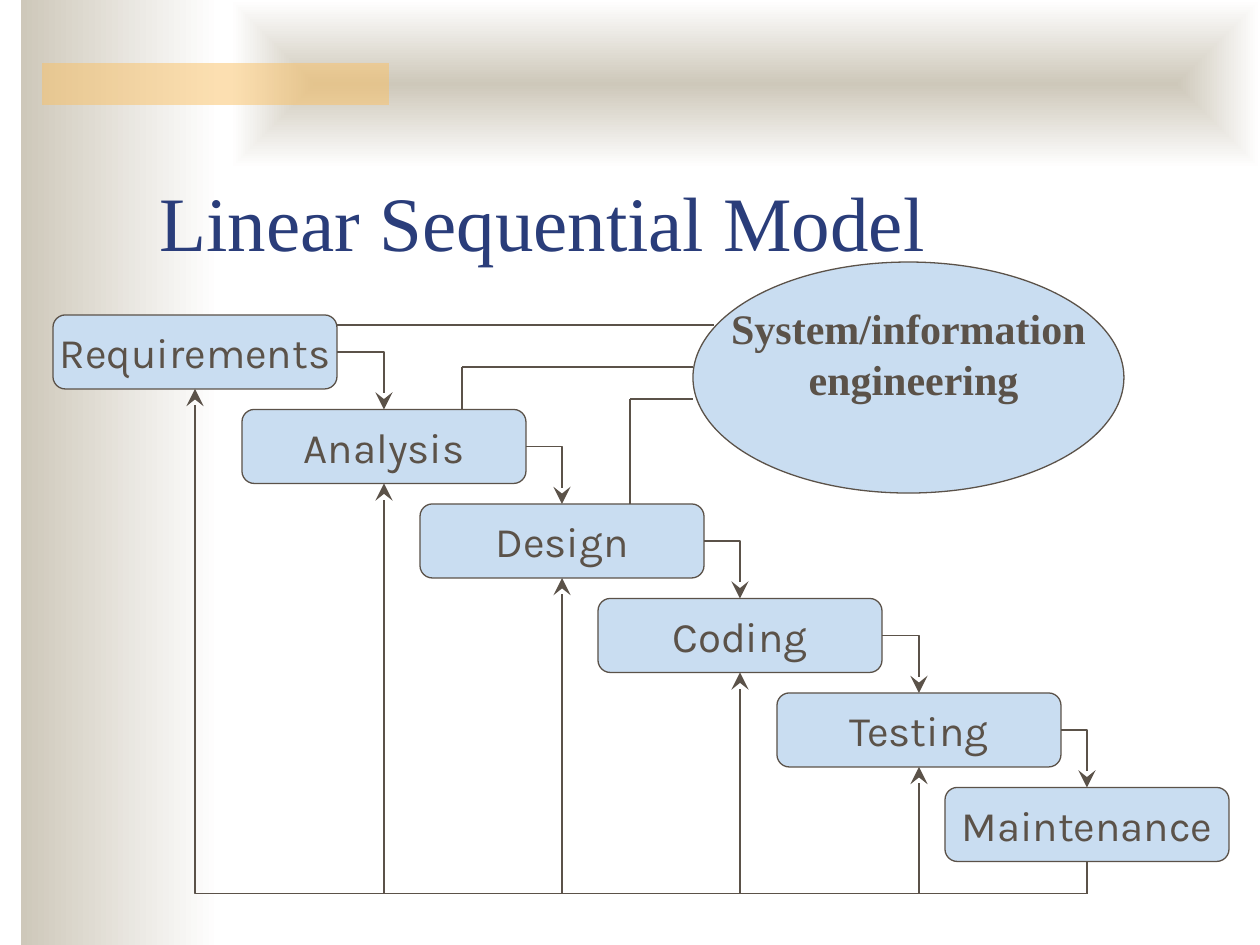
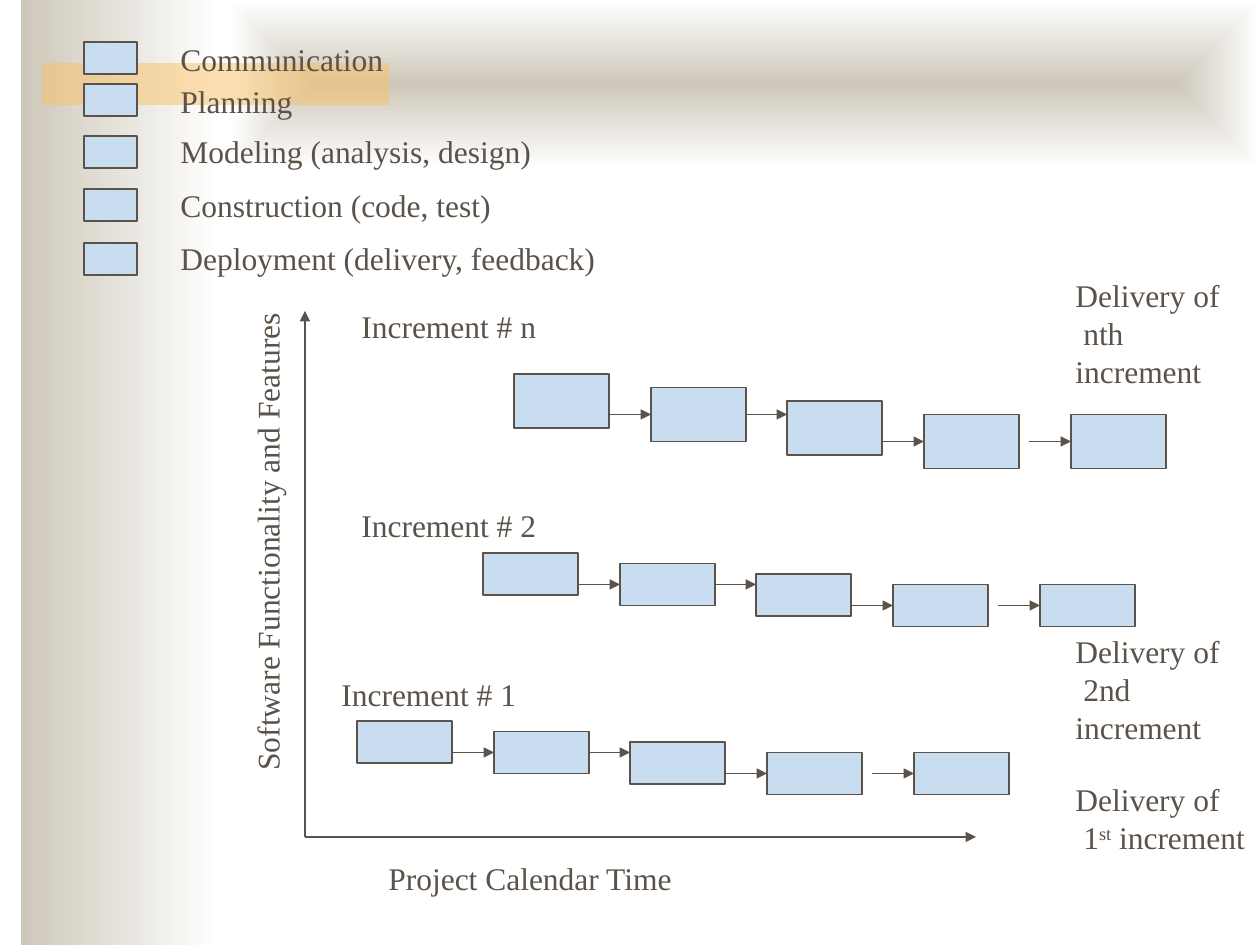
import pptx
import pptx.util
import pptx.dml.color
import pptx.oxml
import pptx.oxml.ns
import pptx.enum.shapes
import pptx.enum.text
import lxml.etree

# Shared look
PX = 914400 / 126
SLIDE_W, SLIDE_H = 1260, 945
TAN, WHITE, GOLD = "CEC8BA", "FFFFFF", "FAC164"
BLUE, BROWN, NAVY = "C9DDF1", "5B5249", "2A3D7A"
SERIF, SANS = "Times New Roman", "Karla"
SHAPE = pptx.enum.shapes.MSO_SHAPE
CONNECTOR = pptx.enum.shapes.MSO_CONNECTOR
ALIGN = pptx.enum.text.PP_ALIGN
ANCHOR = pptx.enum.text.MSO_ANCHOR
TOP, BOTTOM, RIGHT = 0, 2, 3  # connection sites of a box
HEAD_SIZE = {"stealth": "lg", "triangle": "med"}

# Content: linear sequential model
MODEL_TITLE = "Linear Sequential Model"
PHASES = [("Requirements", 53), ("Analysis", 242), ("Design", 420),
          ("Coding", 598), ("Testing", 777), ("Maintenance", 945)]
PHASE_TOP, PHASE_W, PHASE_H = 315, 284, 74
FEEDBACK_DROP = 32
ENGINEERING = ["System/information", " engineering"]
ENGINEERING_LINKS = [[(336, 325), (714, 325)],
                     [(462, 409), (462, 367), (693, 367)],
                     [(630, 504), (630, 399), (693, 399)]]

# Content: incremental model
LEGEND = [  # label, swatch top, label top
    ("Communication", 42, 34),
    ("Planning", 84, 76),
    ("Modeling (analysis, design)", 136, 126),
    ("Construction (code, test)", 189, 180),
    ("Deployment (delivery, feedback)", 243, 233),
]
LEGEND_W = 480
INCREMENTS = [  # label, label place, first box place, box height
    ("Increment # n", (349, 301), (514, 374), 54),
    ("Increment # 2", (349, 500), (483, 553), 42),
    ("Increment # 1", (329, 669), (357, 721), 42),
]
STEP_X = [0, 137, 273, 410, 557]
STEP_QUARTERS = [0, 1, 2, 3, 3]   # box drops, in quarters of box height
ARROW_QUARTERS = [3, 3, 5, 5]     # arrow drops, in the same unit
STEP_W, ARROW_W = 95, 42
DELIVERIES = [  # top, height, second line as (text, superscript) runs
    (270, 126, [(" nth increment", False)]),
    (626, 126, [(" 2nd increment", False)]),
    (774, 88, [(" 1", False), ("st", True), (" increment", False)]),
]
ORIGIN, AXIS_RIGHT, AXIS_TOP = (305, 837), 976, 311


def px(n):
    return pptx.util.Emu(round(n * PX))


def rgb(h):
    return pptx.dml.color.RGBColor.from_string(h)


def sub(parent, tag, **attrs):
    el = lxml.etree.SubElement(parent, pptx.oxml.ns.qn(tag))
    for name, value in attrs.items():
        el.set(name, str(value))
    return el


def add_run(p, text, size=18, font=SERIF, color=BROWN, bold=False, sup=False):
    r = p.add_run()
    r.text = text
    r.font.size = pptx.util.Pt(size)
    r.font.name = font
    r.font.bold = bold
    r.font.color.rgb = rgb(color)
    if sup:
        r.font._element.set("baseline", "30000")


def add_box(s, kind, x, y, w, h, fill=BLUE, line=BROWN):
    sp = s.shapes.add_shape(kind, px(x), px(y), px(w), px(h))
    sp.shadow.inherit = False
    sp.fill.solid()
    sp.fill.fore_color.rgb = rgb(fill)
    if line:
        sp.line.color.rgb = rgb(line)
        sp.line.width = pptx.util.Pt(0.75)
    else:
        sp.line.fill.background()
    return sp


def fill_centred(sp, lines, **style):
    tf = sp.text_frame
    tf.word_wrap = False
    tf.vertical_anchor = ANCHOR.MIDDLE
    for i, text in enumerate(lines):
        p = tf.add_paragraph() if i else tf.paragraphs[0]
        p.alignment = ALIGN.CENTER
        add_run(p, text, 24, **style)


def add_label(s, x, y, w, h, lines):
    sp = s.shapes.add_textbox(px(x), px(y), px(w), px(h))
    tf = sp.text_frame
    tf.word_wrap = True
    for i, runs in enumerate(lines):
        p = tf.add_paragraph() if i else tf.paragraphs[0]
        for text, sup in runs:
            add_run(p, text, sup=sup)
    return sp


def add_line(s, start=(0, 0), end=(0, 0), head=None, kind=CONNECTOR.STRAIGHT):
    cx = s.shapes.add_connector(kind, *map(px, (*start, *end)))
    cx.line.color.rgb = rgb(BROWN)
    cx.line.width = pptx.util.Pt(0.75)
    if head:
        size = HEAD_SIZE[head]
        sub(cx.line._get_or_add_ln(), "a:tailEnd", type=head, w=size, len=size)
    sub(cx._element.spPr, "a:effectLst")
    return cx


def add_elbow(s, box, site, next_box, next_site):
    cx = add_line(s, head="stealth", kind=CONNECTOR.ELBOW)
    cx.begin_connect(box, site)
    cx.end_connect(next_box, next_site)
    return cx


def add_feedback(s, box, target):
    """Route from under box, along a common base line, up to target."""
    cx = add_elbow(s, box, BOTTOM, target, BOTTOM)
    dx, dy = cx.begin_x - cx.end_x, cx.begin_y - cx.end_y
    mid_x, mid_y = cx.end_x + dx // 2, cx.end_y + dy // 2
    cx.left, cx.top = mid_x - dy // 2, mid_y - dx // 2
    cx.width, cx.height = dy, dx
    spPr = cx._element.spPr
    for name, value in (("rot", "16200000"), ("flipH", "0"), ("flipV", "1")):
        spPr.find(pptx.oxml.ns.qn("a:xfrm")).set(name, value)
    geom = spPr.find(pptx.oxml.ns.qn("a:prstGeom"))
    for old in list(geom):
        geom.remove(old)
    ratio = round(-100000 * px(FEEDBACK_DROP) / dy)
    sub(sub(geom, "a:avLst"), "a:gd", name="adj1", fmla=f"val {ratio}")


def add_gradient(sp):
    sp.fill.gradient()
    sp.fill.gradient_angle = 0
    for stop, color, at in zip(sp.fill.gradient_stops, (TAN, WHITE), (0, 1)):
        stop.color.rgb = rgb(color)
        stop.position = at
    return sp._element.spPr.find(pptx.oxml.ns.qn("a:gradFill"))


def decorate_master(prs, s):
    """Draw the bands on s, then move them to the back of the master."""
    side = add_box(s, SHAPE.RECTANGLE, 21, 0, 199, SLIDE_H, line=None)
    add_gradient(side)
    top = add_box(s, SHAPE.RECTANGLE, 231, 0, 1029, 168, line=None)
    grad = add_gradient(top)
    grad.remove(grad.find(pptx.oxml.ns.qn("a:lin")))
    sub(sub(grad, "a:path", path="rect"), "a:fillToRect",
        l=50000, t=50000, r=50000, b=50000)
    bar = add_box(s, SHAPE.RECTANGLE, 42, 63, 347, 42, GOLD, None)
    color = next(bar._element.spPr.iter(pptx.oxml.ns.qn("a:srgbClr")))
    sub(color, "a:alpha", val=50000)
    tree = prs.slide_master.element.cSld.spTree
    for i, sp in enumerate((side, top, bar)):
        tree.insert(2 + i, sp._element)


def build_linear(s):
    # Title
    title = s.shapes.title
    title.left, title.top, title.width, title.height = map(px, (147, 116, 1071, 157))
    tf = title.text_frame
    tf.auto_size = pptx.enum.text.MSO_AUTO_SIZE.NONE
    tf.vertical_anchor = ANCHOR.BOTTOM
    p = tf.paragraphs[0]
    p.alignment = ALIGN.LEFT
    add_run(p, MODEL_TITLE, 44, color=NAVY)

    # Staircase of phases
    boxes = []
    for i, (name, x) in enumerate(PHASES):
        y = PHASE_TOP + i * 189 / 2
        box = add_box(s, SHAPE.ROUNDED_RECTANGLE, x, y, PHASE_W, PHASE_H)
        fill_centred(box, [name], font=SANS)
        boxes.append(box)

    # Steps forward and feedback
    for box, next_box in zip(boxes, boxes[1:]):
        cx = add_elbow(s, box, RIGHT, next_box, TOP)
        cx._element.spPr.find(pptx.oxml.ns.qn("a:prstGeom")).set("prst", "bentConnector2")
    for target in reversed(boxes[:-1]):
        add_feedback(s, boxes[-1], target)

    # System engineering and its links
    for points in ENGINEERING_LINKS:
        for start, end in zip(points, points[1:]):
            add_line(s, start, end)
    oval = add_box(s, SHAPE.OVAL, 693, 262, 431, 231)
    fill_centred(oval, ENGINEERING, bold=True)
    oval.text_frame.margin_bottom = px(55)


def build_incremental(s):
    # Deliveries
    for y, h, runs in DELIVERIES:
        add_label(s, 1063, y, 197, h, [[("Delivery of", False)], runs])

    # Axes
    add_line(s, ORIGIN, (AXIS_RIGHT, ORIGIN[1]), "triangle")
    add_line(s, ORIGIN, (ORIGIN[0], AXIS_TOP), "triangle")
    add_label(s, 376, 853, 340, 50, [[("Project Calendar Time", False)]])
    label = add_label(s, 12, 503, 510, 50,
                      [[("Software Functionality and Features", False)]])
    label.rotation = 270

    # Increments
    for name, (label_x, label_y), (x, y), h in INCREMENTS:
        for dx, quarters in zip(STEP_X, STEP_QUARTERS):
            add_box(s, SHAPE.RECTANGLE, x + dx, y + quarters * h / 4, STEP_W, h)
        for dx, quarters in zip(STEP_X[1:], ARROW_QUARTERS):
            arrow_y = y + quarters * h / 4
            add_line(s, (x + dx - ARROW_W, arrow_y), (x + dx, arrow_y), "triangle")
        add_label(s, label_x, label_y, 281, 50, [[(name, False)]])

    # Legend
    for name, swatch_y, label_y in LEGEND:
        add_box(s, SHAPE.RECTANGLE, 84, swatch_y, 53, 32)
        add_label(s, 168, label_y, LEGEND_W, 50, [[(name, False)]])


def main():
    prs = pptx.Presentation()
    prs.slide_width, prs.slide_height = px(SLIDE_W), px(SLIDE_H)
    title_only, blank = prs.slide_layouts[5], prs.slide_layouts[6]
    s = prs.slides.add_slide(title_only)
    decorate_master(prs, s)
    build_linear(s)
    build_incremental(prs.slides.add_slide(blank))
    prs.save("out.pptx")


if __name__ == "__main__":
    main()
